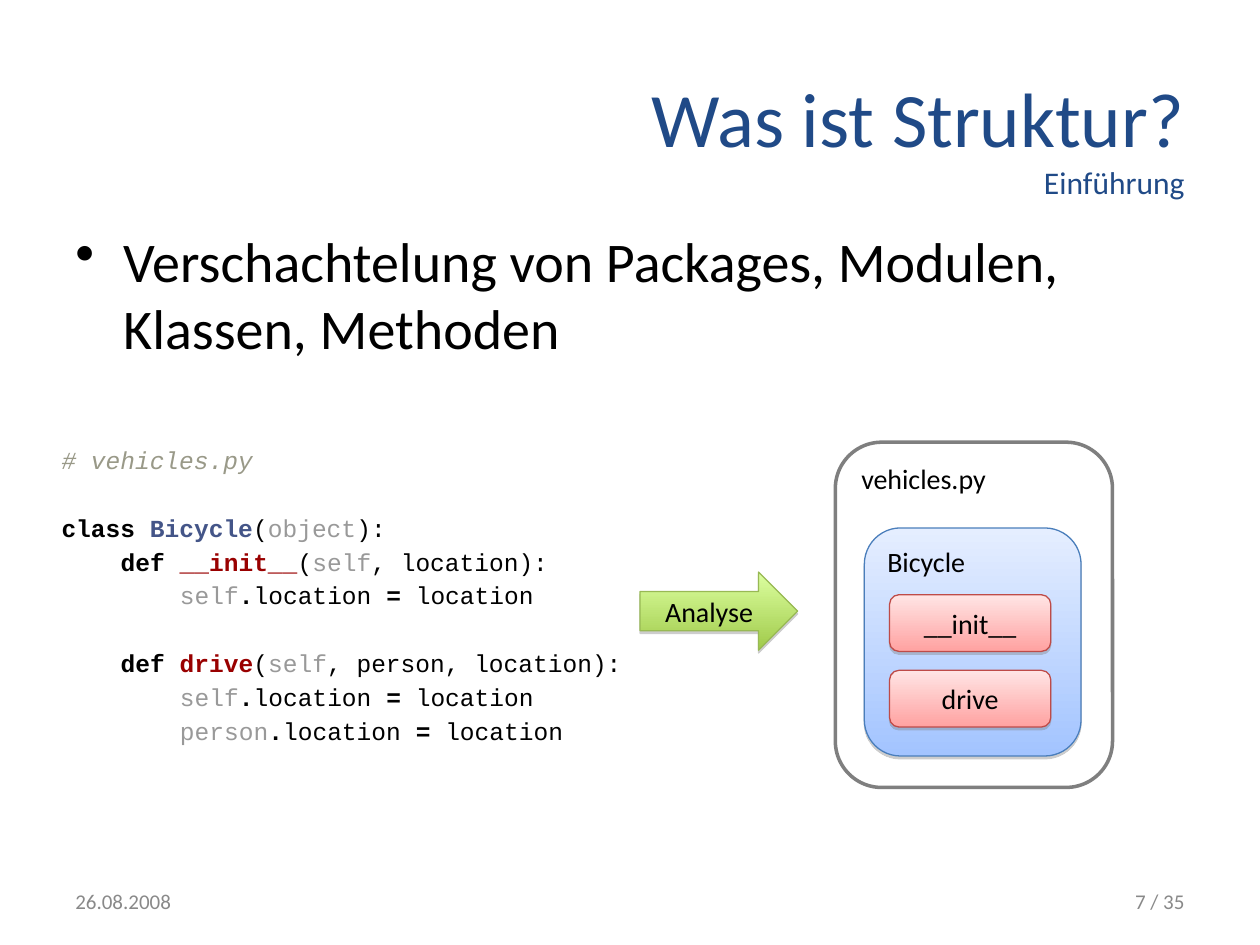
import pptx
import pptx.util
import pptx.dml.color
import pptx.enum.shapes
import pptx.enum.text
import pptx.oxml
from dataclasses import dataclass
from pptx.oxml.ns import qn

Inches = pptx.util.Inches
SHAPE = pptx.enum.shapes.MSO_SHAPE
ALIGN = pptx.enum.text.PP_ALIGN
ANCHOR = pptx.enum.text.MSO_ANCHOR


@dataclass(frozen=True)
class Theme:
    font: str = "Calibri"
    mono: str = "Courier New"
    title: int = 44
    body: int = 32
    subtitle: int = 18
    label: int = 16
    code: int = 14
    footer: int = 12
    heading: str = "204A87"
    text: str = "000000"
    white: str = "FFFFFF"
    muted: str = "898989"
    frame: str = "7F7F7F"
    shadow: str = "808080"
    # Each style: gradient top, gradient bottom, line
    blue: tuple = ("E5EEFF", "A3C4FF", "4A7EBB")
    red: tuple = ("FFE5E5", "FFA2A1", "BE4B48")
    green: tuple = ("DCFFA0", "A0CA4A", "98B954")


T = Theme()

# Syntax styles: colour, bold, italic
SYNTAX = {
    "comment": ("999988", False, True),
    "keyword": (T.text, True, False),
    "class": ("445588", True, False),
    "function": ("990000", True, False),
    "builtin": ("999999", False, False),
    "plain": (T.text, False, False),
}


def rgb(value):
    return pptx.dml.color.RGBColor.from_string(value)


def add_run(p, text, size, color, font=T.font, bold=False, italic=False):
    r = p.add_run()
    r.text = text
    values = {"name": font, "size": pptx.util.Pt(size), "bold": bold, "italic": italic}
    for name, value in values.items():
        setattr(r.font, name, value)
    r.font.color.rgb = rgb(color)


def set_text(sp, text, size, color=T.text, align=ALIGN.LEFT, anchor=ANCHOR.TOP, wrap=True):
    tf = sp.text_frame
    values = {
        "word_wrap": wrap, "vertical_anchor": anchor,
        "margin_left": Inches(0.1), "margin_right": Inches(0.1),
        "margin_top": Inches(0.05), "margin_bottom": Inches(0.05),
    }
    for name, value in values.items():
        setattr(tf, name, value)
    p = tf.paragraphs[0]
    p.alignment = align
    add_run(p, text, size, color)
    return p


def add_text(s, box, text, size, **style):
    sp = s.shapes.add_textbox(*map(Inches, box))
    return set_text(sp, text, size, **style)


def add_block(shapes, kind, box, text, style=None, adjust=(), **text_style):
    """Add a labelled shape: gradient and shadow with a style, else a plain frame."""
    sp = shapes.add_shape(kind, *map(Inches, box))
    for i, value in enumerate(adjust):
        sp.adjustments[i] = value
    sp.shadow.inherit = False
    if style:
        top, bottom, line = style
        sp.fill.gradient()
        sp.fill.gradient_angle = 270
        for stop, color in zip(sp.fill.gradient_stops, (top, bottom)):
            stop.color.rgb = rgb(color)
        add_shadow(sp)
    else:
        line = T.frame
        sp.fill.solid()
        sp.fill.fore_color.rgb = rgb(T.white)
    sp.line.color.rgb = rgb(line)
    sp.line.width = pptx.util.Pt(0.75 if style else 2)
    set_text(sp, text, T.label, **text_style)


def add_shadow(sp):
    effects = sp._element.spPr.find(qn("a:effectLst"))
    effects.append(pptx.oxml.parse_xml(
        '<a:outerShdw xmlns:a="http://schemas.openxmlformats.org/drawingml/2006/main" '
        f'blurRad="0" dist="{pptx.util.Pt(1.6)}" dir="5400000" rotWithShape="0">'
        f'<a:srgbClr val="{T.shadow}"><a:alpha val="38000"/></a:srgbClr></a:outerShdw>'))


def add_heading(s, box):
    x, y, w, h = box
    title = s.shapes.title
    for name, value in zip(("left", "top", "width", "height"), box):
        setattr(title, name, Inches(value))
    style = {"color": T.heading, "align": ALIGN.RIGHT, "anchor": ANCHOR.MIDDLE}
    set_text(title, "Was ist Struktur?", T.title, **style)
    add_text(s, (x + w - 1.33, y + 0.94, 1.33, 0.4), "Einführung", T.subtitle,
             wrap=False, **style)


def add_bullet(s, box):
    p = add_text(s, box, "Verschachtelung von Packages, Modulen, Klassen, Methoden", T.body)
    p.space_before = pptx.util.Pt(8)
    pPr = p._p.get_or_add_pPr()
    pPr.set("marL", str(Inches(0.38)))
    pPr.set("indent", str(-Inches(0.38)))
    pPr.append(pptx.oxml.parse_xml(
        '<a:buChar xmlns:a="http://schemas.openxmlformats.org/drawingml/2006/main" char="•"/>'))


def add_code(s, box):
    def assign(target):
        return [(target, "builtin"), (".", "keyword"), ("location ", "plain"),
                ("=", "keyword"), (" location", "plain")]

    def method(name, arguments):
        return [("def ", "keyword"), (name, "function"), ("(", "plain"),
                ("self", "builtin"), (f", {arguments}):", "plain")]

    # Each line: indent level, gap above, tokens
    lines = [
        (0, False, [("# vehicles.py", "comment")]),
        (0, True, [("class ", "keyword"), ("Bicycle", "class"), ("(", "plain"),
                   ("object", "builtin"), ("):", "plain")]),
        (1, False, method("__init__", "location")),
        (2, False, assign("self")),
        (1, True, method("drive", "person, location")),
        (2, False, assign("self")),
        (2, False, assign("person")),
    ]
    tf = s.shapes.add_textbox(*map(Inches, box)).text_frame
    tf.word_wrap = False
    for i, (level, gap, tokens) in enumerate(lines):
        p = tf.add_paragraph() if i else tf.paragraphs[0]
        p.line_spacing = 1.15
        p.space_before = pptx.util.Pt(19.3 if gap else 0)
        p._p.get_or_add_pPr().set("marL", str(Inches(0.47 * level)))
        for text, kind in tokens:
            color, bold, italic = SYNTAX[kind]
            add_run(p, text, T.code, color, T.mono, bold, italic)


def add_structure(s, box):
    """Nest module, class and methods."""
    x, y, w, h = box
    shapes = s.shapes.add_group_shape().shapes
    rounded = {"kind": SHAPE.ROUNDED_RECTANGLE, "adjust": (0.167,)}
    add_block(shapes, box=box, text="vehicles.py", **rounded)
    add_block(shapes, box=(x + 0.23, y + 0.68, 1.72, 1.81), text="Bicycle",
              style=T.blue, **rounded)
    for i, name in enumerate(("__init__", "drive")):
        add_block(shapes, box=(x + 0.43, y + 1.21 + 0.6 * i, 1.28, 0.45), text=name,
                  style=T.red, align=ALIGN.CENTER, anchor=ANCHOR.MIDDLE, **rounded)


def add_footer(s, box):
    x, y, w, h = box
    part = 2.33
    for left, text, align in ((x, "26.08.2008", ALIGN.LEFT),
                              (x + w - part, "7 / 35", ALIGN.RIGHT)):
        add_text(s, (left, y, part, h), text, T.footer, color=T.muted,
                 align=align, anchor=ANCHOR.MIDDLE)


def main():
    prs = pptx.Presentation()
    prs.slide_width, prs.slide_height = Inches(10), Inches(7.5)
    s = prs.slides.add_slide(prs.slide_layouts[5])
    add_heading(s, (0.5, 0.3, 9, 1.25))
    add_bullet(s, (0.5, 1.75, 9, 1.3))
    # Source code, analysis arrow, resulting structure
    add_code(s, (0.39, 3.45, 4.66, 2.52))
    add_block(s.shapes, SHAPE.RIGHT_ARROW, (5.08, 4.54, 1.25, 0.62), "Analyse", T.green,
              align=ALIGN.CENTER, anchor=ANCHOR.MIDDLE)
    add_structure(s, (6.63, 3.51, 2.2, 2.74))
    add_footer(s, (0.5, 6.95, 9, 0.4))
    prs.save("out.pptx")


if __name__ == "__main__":
    main()
